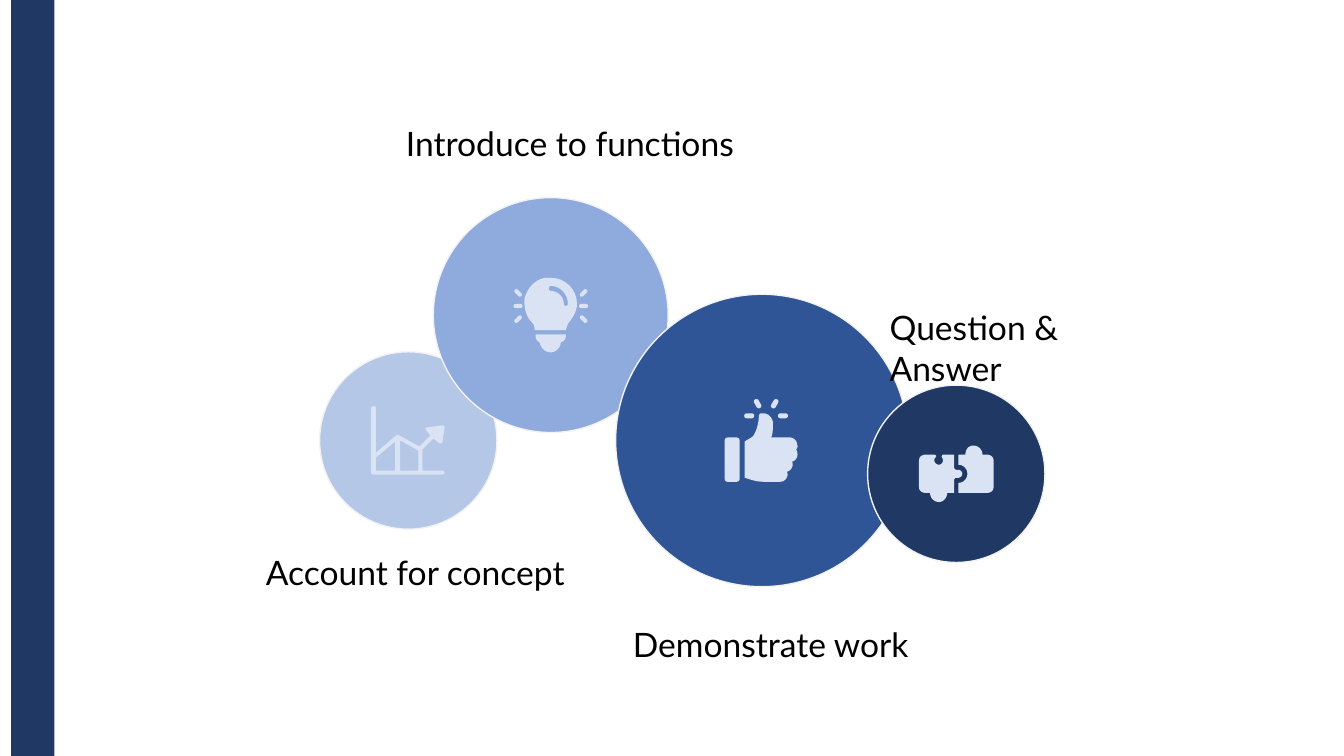
from dataclasses import dataclass

from pptx import Presentation
from pptx.dml.color import RGBColor
from pptx.enum.shapes import MSO_SHAPE as Preset
from pptx.enum.text import MSO_AUTO_SIZE as AutoSize
from pptx.util import Cm, Pt


@dataclass(frozen=True)
class Theme:
    navy: str = "203864"
    blue: str = "2F5597"
    sky: str = "8FAADC"
    pale: str = "B4C7E7"
    icon: str = "DAE3F3"
    outline: str = "F2F2F2"
    text: str = "000000"
    font: str = "Lato"
    label_size: int = 24
    outline_width: int = 1


ICON_UNIT = 0.0254
CURVE_STEPS = 8

TREND_CHART = """
M -34 -34 C -36 -34 -37 -33 -37 -32 L -37 32 C -37 33 -36 34 -34 34 L 34 34
C 35 34 36 33 36 32 C 36 31 35 30 34 30 L 14 30 L 14 9 L 25 -2 L 30 2
C 30 3 31 3 32 3 C 33 3 34 2 34 1 L 36 -13 C 36 -14 35 -15 34 -15 L 19 -13
C 17 -13 17 -11 18 -10 L 22 -5 L 11 6 L -9 -5 C -10 -6 -11 -5 -12 -5
L -32 12 L -32 -32 C -32 -33 -33 -34 -34 -34
M -13 1 L -13 30 L -32 30 L -32 17
M -8 0 L 10 10 L 10 30 L -8 30
"""
BULB_BASE = """
M -15 19 L -15 21 C -15 24 -13 26 -11 27 C -10 32 -6 37 0 37
C 5 37 10 32 10 27 C 13 26 15 24 15 21 L 15 19
"""
BULB_GLASS = """
M 0 -37 C -2 -37 -4 -37 -6 -37 C -16 -35 -23 -27 -26 -17 C -27 -9 -25 0 -20 6
C -17 8 -16 11 -16 15 L 15 15 C 16 11 17 8 19 6 C 23 1 26 -5 26 -11
C 26 -26 14 -37 0 -37
M 0 -29 C 9 -29 17 -21 17 -11 C 17 -10 16 -9 15 -9 C 14 -9 13 -10 13 -11
C 13 -18 7 -24 0 -24 C -1 -24 -2 -25 -2 -26 C -2 -28 -1 -29 0 -29
"""
THUMB = """
M -1 -27 C -2 -27 -3 -25 -3 -24 C -3 -19 -5 -9 -9 -4 C -12 -2 -14 -1 -17 1
L -17 37 C -13 38 -7 41 2 41 L 18 41 C 23 41 27 36 25 31 C 29 30 32 25 30 21
C 35 20 37 13 34 9 C 35 8 36 6 35 4 C 35 0 31 -3 28 -3 L 9 -3
C 11 -5 11 -13 11 -17 C 11 -22 7 -27 1 -27
"""
LEFT_PIECE = """
M -30 -19 C -34 -19 -37 -17 -37 -13 L -37 13 C -37 17 -34 19 -30 19 L -26 19
C -26 24 -22 28 -17 28 C -13 28 -9 24 -9 19 L -2 19 L -2 6 C -2 5 -1 4 0 4
C 1 4 1 4 2 4 C 4 4 6 2 6 0 C 6 -2 4 -4 2 -4 C 1 -4 1 -4 0 -4
C -1 -4 -2 -5 -2 -6 L -2 -19 L -13 -19 C -14 -19 -15 -17 -14 -16
C -12 -13 -14 -9 -17 -9 C -21 -9 -23 -13 -21 -16 C -19 -17 -20 -19 -22 -19
"""
RIGHT_PIECE = """
M 17 -28 C 12 -28 9 -24 9 -19 L 2 -19 L 2 -9 C 7 -9 11 -5 11 0
C 11 5 7 9 2 9 L 2 19 L 30 19 C 34 19 37 17 37 13 L 37 -13
C 37 -17 34 -19 30 -19 L 26 -19 C 26 -24 22 -28 17 -28
"""

BULB_RAYS = [(side * 32.5, dy, 9, 4, side * turn, 0.5)
             for side in (-1, 1) for dy, turn in ((-22, -45), (-9, 0), (4, 45))]
THUMB_RAYS = [(4.25 + side * dx, dy, 10, 5, side * turn, 0.5)
              for side in (-1, 1) for dx, dy, turn in ((8.5, -36.5, -60), (16.75, -24.5, 0))]
CUFF = (-29.5, 19, 15, 44, 0, 0.2)


def bezier(points, t):
    while len(points) > 1:
        points = [tuple(a + (b - a) * t for a, b in zip(p, q))
                  for p, q in zip(points, points[1:])]
    return points[0]


def contours(outline):
    for contour in outline.split("M")[1:]:
        points = []
        for step in contour.replace("L", "|L").replace("C", "|C").split("|"):
            values = [float(v) for v in step.strip("LC \n").split()]
            pairs = list(zip(values[::2], values[1::2]))
            if step.startswith("C"):
                control = [points[-1], *pairs]
                pairs = [bezier(control, i / CURVE_STEPS) for i in range(1, CURVE_STEPS + 1)]
            points += pairs
        yield points


class Deck:
    def __init__(self, theme):
        self.theme = theme
        self.presentation = Presentation()
        self.presentation.slide_width = Cm(33.87)
        self.presentation.slide_height = Cm(19.05)
        self.slide = self.presentation.slides.add_slide(self.presentation.slide_layouts[6])

    def paint(self, shape, fill, line=None):
        shape.shadow.inherit = False
        shape.fill.solid()
        shape.fill.fore_color.rgb = RGBColor.from_string(fill)
        if line:
            shape.line.color.rgb = RGBColor.from_string(line)
            shape.line.width = Pt(self.theme.outline_width)
        else:
            shape.line.fill.background()

    def sidebar(self, left, width):
        bar = self.slide.shapes.add_shape(
            Preset.RECTANGLE, Cm(left), 0, Cm(width), self.presentation.slide_height)
        self.paint(bar, self.theme.navy)

    def bubble(self, x, y, diameter, fill, outlines, pills=()):
        parts = self.slide.shapes.add_group_shape().shapes
        disc = parts.add_shape(Preset.OVAL, Cm(x - diameter / 2), Cm(y - diameter / 2),
                               Cm(diameter), Cm(diameter))
        self.paint(disc, fill, self.theme.outline)
        for outline in outlines:
            self.glyph(parts, x, y, outline)
        for pill in pills:
            self.pill(parts, x, y, *pill)

    def glyph(self, parts, x, y, outline):
        placed = [[(Cm(x + dx * ICON_UNIT), Cm(y + dy * ICON_UNIT)) for dx, dy in points]
                  for points in contours(outline)]
        builder = parts.build_freeform(*placed[0][0])
        builder.add_line_segments(placed[0][1:], close=True)
        for hole in placed[1:]:
            builder.move_to(*hole[0])
            builder.add_line_segments(hole[1:], close=True)
        self.paint(builder.convert_to_shape(), self.theme.icon)

    def pill(self, parts, x, y, dx, dy, width, height, turn, rounding):
        pill = parts.add_shape(
            Preset.ROUNDED_RECTANGLE,
            Cm(x + (dx - width / 2) * ICON_UNIT), Cm(y + (dy - height / 2) * ICON_UNIT),
            Cm(width * ICON_UNIT), Cm(height * ICON_UNIT))
        pill.adjustments[0] = rounding
        pill.rotation = turn
        self.paint(pill, self.theme.icon)

    def label(self, wording, left, top, width):
        frame = self.slide.shapes.add_textbox(Cm(left), Cm(top), Cm(width), Cm(1.25)).text_frame
        frame.word_wrap = True
        frame.auto_size = AutoSize.SHAPE_TO_FIT_TEXT
        run = frame.paragraphs[0].add_run()
        run.text = wording
        run.font.name = self.theme.font
        run.font.size = Pt(self.theme.label_size)
        run.font.color.rgb = RGBColor.from_string(self.theme.text)


def main():
    theme = Theme()
    deck = Deck(theme)
    deck.sidebar(0.28, 1.09)
    deck.bubble(10.29, 11.1, 4.47, theme.pale, [TREND_CHART])
    deck.bubble(13.88, 7.94, 5.92, theme.sky, [BULB_BASE, BULB_GLASS], BULB_RAYS)
    deck.bubble(19.2, 11.1, 7.37, theme.blue, [THUMB], [*THUMB_RAYS, CUFF])
    deck.label("Account for concept", 6.45, 13.79, 8.03)
    deck.label("Introduce to functions", 9.98, 2.97, 8.86)
    deck.label("Demonstrate work", 15.7, 15.6, 7.57)
    deck.label("Question & Answer", 22.17, 7.62, 7.47)
    deck.bubble(24.1, 11.94, 4.47, theme.navy, [LEFT_PIECE, RIGHT_PIECE])
    deck.presentation.save("out.pptx")


if __name__ == "__main__":
    main()
